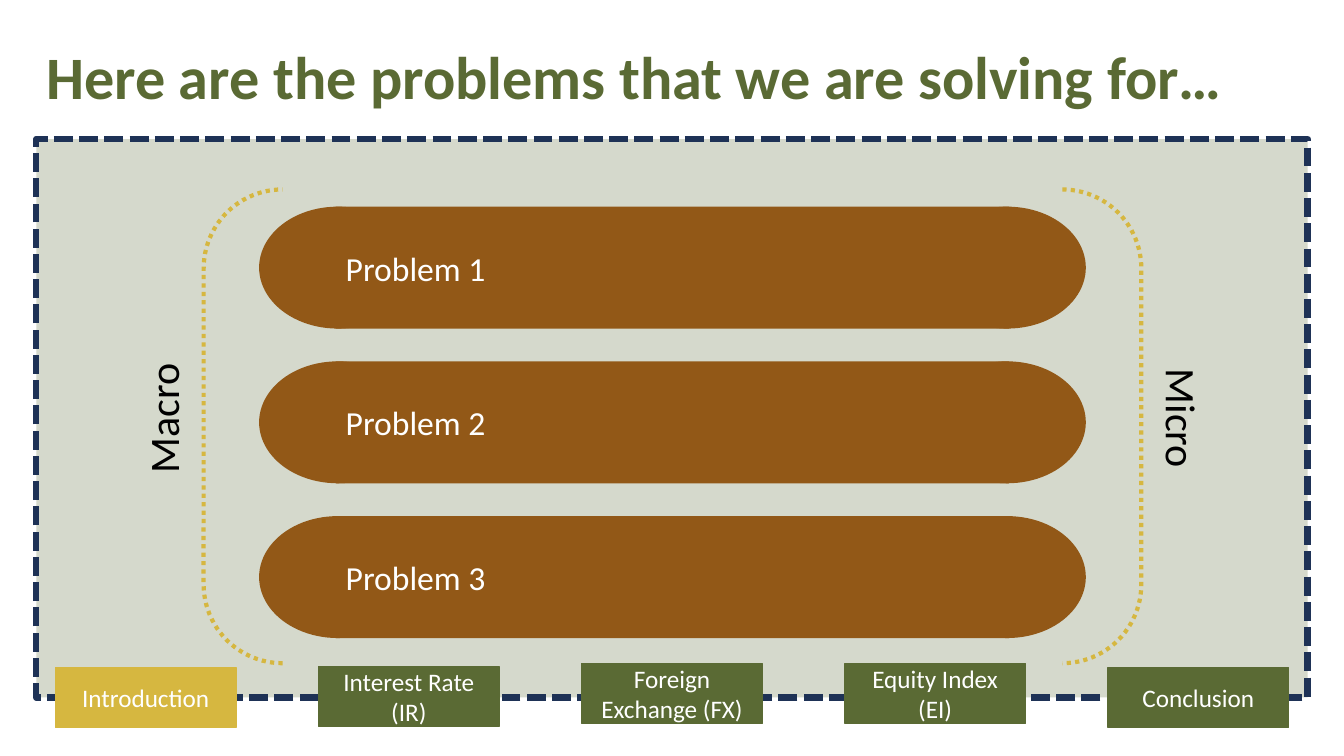
from lxml.etree import SubElement
from pptx import Presentation
from pptx.dml.color import RGBColor
from pptx.enum.dml import MSO_LINE_DASH_STYLE as Dash
from pptx.enum.shapes import MSO_SHAPE as Shape
from pptx.enum.text import MSO_ANCHOR as Anchor, PP_ALIGN as Align
from pptx.oxml.ns import qn
from pptx.util import Inches, Pt

GREEN = RGBColor(0x5A, 0x6A, 0x34)
NAVY = RGBColor(0x1E, 0x32, 0x56)
BROWN = RGBColor(0x92, 0x58, 0x17)
GOLD = RGBColor(0xD6, 0xB7, 0x40)
WHITE = RGBColor(0xFF, 0xFF, 0xFF)
BLACK = RGBColor(0, 0, 0)
FONT = "Calibri"

WIDTH, HEIGHT = 13.33, 7.5
MARGIN = 0.36
CONTENT_WIDTH = WIDTH - 2 * MARGIN
PANEL_TOP, PANEL_HEIGHT = 1.38, 5.54

PILL_LEFT, PILL_RIGHT, PILL_TOP = 2.57, 10.77, 2.05
PILL_HEIGHT, PILL_PITCH = 1.21, 1.535
CAP_WIDTH, BAR_INSET = 1.56, 0.76
PROBLEMS = ["Problem 1", "Problem 2", "Problem 3"]

BRACKET_LEFT, BRACKET_RIGHT = 2.02, 11.32
SIDE_WIDTH = 0.71

TAB_LEFT, TAB_PITCH, TAB_WIDTH, TAB_HEIGHT = 0.55, 2.61, 1.79, 0.6
TABS = [
    ("Introduction", 6.62, GOLD),
    ("Interest Rate (IR)", 6.61, GREEN),
    ("Foreign Exchange (FX)", 6.58, GREEN),
    ("Equity Index (EI)", 6.58, GREEN),
    ("Conclusion", 6.62, GREEN),
]


def write(box, text, size, color, align=Align.LEFT, anchor=Anchor.MIDDLE):
    frame = box.text_frame
    frame.word_wrap = True
    frame.vertical_anchor = anchor
    para = frame.paragraphs[0]
    para.text = text
    para.alignment = align
    para.font.name = FONT
    para.font.size = Pt(size)
    para.font.color.rgb = color
    return para


def add_shape(shapes, kind, left, top, width, height, fill=None, line=None,
              weight=1, dash=None):
    shape = shapes.add_shape(kind, Inches(left), Inches(top),
                             Inches(width), Inches(height))
    shape.shadow.inherit = False
    if fill is None:
        shape.fill.background()
    else:
        shape.fill.solid()
        shape.fill.fore_color.rgb = fill
    if line is None:
        shape.line.fill.background()
    else:
        shape.line.color.rgb = line
        shape.line.width = Pt(weight)
        if dash is not None:
            shape.line.dash_style = dash
    return shape


def add_title(page, text):
    box = page.shapes.add_textbox(Inches(MARGIN), Inches(0.2),
                                  Inches(CONTENT_WIDTH), Inches(1.18))
    para = write(box, text, 43, GREEN)
    para.font.bold = True
    para.line_spacing = 0.9


def add_panel(page):
    panel = add_shape(page.shapes, Shape.RECTANGLE, MARGIN, PANEL_TOP,
                      CONTENT_WIDTH, PANEL_HEIGHT, GREEN, NAVY, 4.5, Dash.SQUARE_DOT)
    panel.line._get_or_add_ln().find(qn("a:prstDash")).set("val", "sysDash")
    color = panel.fill._xPr.find(qn("a:solidFill"))[0]
    SubElement(color, qn("a:alpha")).set("val", "25000")


def add_problem(page, row, text):
    """Add a pill: two round caps behind one bar that holds the text."""
    pill = page.shapes.add_group_shape().shapes
    top = PILL_TOP + row * PILL_PITCH
    for left in (PILL_RIGHT - CAP_WIDTH, PILL_LEFT):
        add_shape(pill, Shape.OVAL, left, top, CAP_WIDTH, PILL_HEIGHT, BROWN)
    bar = add_shape(pill, Shape.RECTANGLE, PILL_LEFT + BAR_INSET, top,
                    PILL_RIGHT - PILL_LEFT - 2 * BAR_INSET, PILL_HEIGHT, BROWN)
    write(bar, text, 24, WHITE)


def add_brackets(page):
    brackets = add_shape(page.shapes, Shape.DOUBLE_BRACKET, BRACKET_LEFT, 1.88,
                         BRACKET_RIGHT - BRACKET_LEFT, 4.7, None, GOLD, 3)
    brackets.line.dash_style = Dash.ROUND_DOT
    brackets.line._get_or_add_ln().find(qn("a:prstDash")).set("val", "sysDot")


def add_side_label(page, text, left, rotation=0):
    box = page.shapes.add_textbox(Inches(left), Inches(3.31),
                                  Inches(SIDE_WIDTH), Inches(1.68))
    box.rotation = rotation
    write(box, text, 30, BLACK, Align.CENTER, Anchor.TOP)
    box.text_frame._txBody.bodyPr.set("vert", "vert270")


def add_tab(page, column, text, top, color):
    tab = add_shape(page.shapes, Shape.RECTANGLE, TAB_LEFT + column * TAB_PITCH,
                    top, TAB_WIDTH, TAB_HEIGHT, color, color)
    write(tab, text, 18, WHITE, Align.CENTER)


def main():
    deck = Presentation()
    deck.slide_width, deck.slide_height = Inches(WIDTH), Inches(HEIGHT)
    page = deck.slides.add_slide(deck.slide_layouts[6])
    add_title(page, "Here are the problems that we are solving for…")
    add_panel(page)
    for row, problem in enumerate(PROBLEMS):
        add_problem(page, row, problem)
    add_brackets(page)
    add_side_label(page, "Macro", BRACKET_LEFT - SIDE_WIDTH)
    add_side_label(page, "Micro", BRACKET_RIGHT, 180)
    for column, (text, top, color) in enumerate(TABS):
        add_tab(page, column, text, top, color)
    deck.save("out.pptx")


if __name__ == "__main__":
    main()
